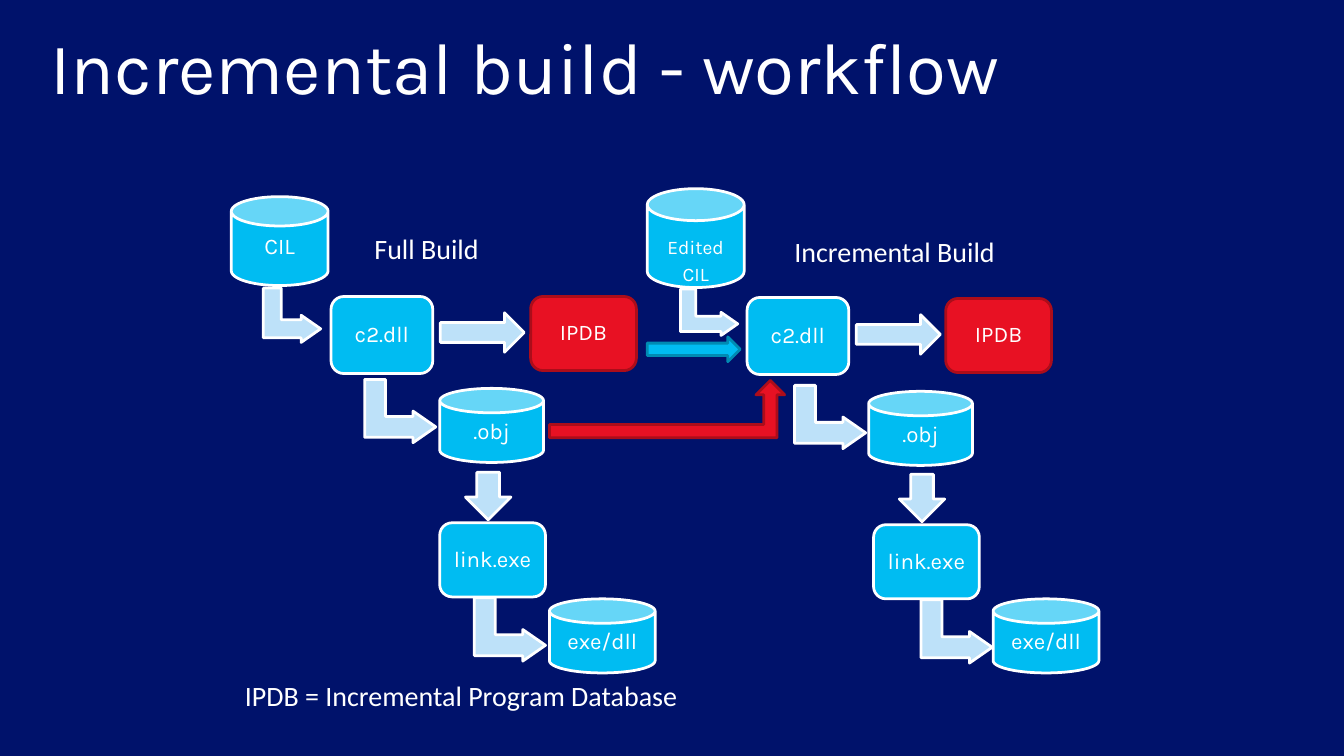
from pptx import Presentation
from pptx.dml.color import RGBColor
from pptx.enum.shapes import MSO_SHAPE as SHAPE
from pptx.enum.text import MSO_ANCHOR as ANCHOR, PP_ALIGN as ALIGN
from pptx.util import Inches, Pt

COLORS = {
    "background": "00126B",
    "white": "FFFFFF",
    "pale": "BDE1F9",
    "cyan": "00BCF2",
    "cyan_edge": "008BB3",
    "red": "E81123",
    "red_edge": "AC0D1A",
}
CAP_RATIO = 0.33
BENT = (0.33, 0.25, 0.36)


def color(name):
    """Return the named colour."""
    return RGBColor.from_string(COLORS[name])


def write(sp, text, size=16.3, font="Karla", align=ALIGN.CENTER, anchor=ANCHOR.MIDDLE,
          insets=(0.07, 0.07, 0.07, 0.07), line_spacing=None, after=0):
    """Fill a shape with text, one paragraph per line, in one format."""
    tf = sp.text_frame
    tf.word_wrap = True
    tf.vertical_anchor = anchor
    tf.margin_left, tf.margin_top, tf.margin_right, tf.margin_bottom = map(Inches, insets)
    for i, line in enumerate(text.split("\n")):
        p = tf.paragraphs[0] if i == 0 else tf.add_paragraph()
        p.alignment = align
        p.line_spacing = line_spacing
        p.space_before = Pt(0)
        p.space_after = Pt(after * size)
        r = p.add_run()
        r.text = line
        r.font.name = font
        r.font.size = Pt(size)
        r.font.color.rgb = color("white")


def add_figure(s, kind, box, fill="cyan", edge="white", adjust=(), rotation=0):
    """Add a filled and outlined preset shape."""
    sp = s.shapes.add_shape(kind, *map(Inches, box))
    sp.shadow.inherit = False
    sp.fill.solid()
    sp.fill.fore_color.rgb = color(fill)
    sp.line.color.rgb = color(edge)
    sp.line.width = Pt(2)
    sp.rotation = rotation
    for i, value in enumerate(adjust):
        sp.adjustments[i] = value
    return sp


def add_step(s, text, box, fill="cyan", edge="white"):
    """Add a rounded box for a tool or database."""
    sp = add_figure(s, SHAPE.ROUNDED_RECTANGLE, box, fill, edge)
    write(sp, text, line_spacing=0.9, after=0.35)


def add_store(s, text, box, **fmt):
    """Add a cylinder for a file, with its text below the cap."""
    cap = CAP_RATIO * min(box[2:])
    sp = add_figure(s, SHAPE.CAN, box, adjust=[CAP_RATIO])
    insets = (0.07, max(0, 0.32 - cap), 0.07, max(0, 0.19 - cap / 2))
    write(sp, text, **{"insets": insets, "line_spacing": 0.9, "after": 0.35, **fmt})


def add_turn(s, box):
    """Add a pale arrow that goes down and then right."""
    add_figure(s, SHAPE.BENT_UP_ARROW, box, "pale", adjust=BENT, rotation=90)


def add_label(s, text, box):
    """Add a plain caption."""
    sp = s.shapes.add_textbox(*map(Inches, box))
    write(sp, text, size=20.4, font="Calibri", align=ALIGN.LEFT, anchor=ANCHOR.TOP,
          insets=(0.1, 0.05, 0.1, 0.05))


def add_title(s, text):
    """Place and format the slide title."""
    sp = s.shapes.title
    sp.left, sp.top, sp.width, sp.height = map(Inches, (0.31, 0.17, 12.47, 0.68))
    write(sp, text, size=53, align=ALIGN.LEFT, anchor=ANCHOR.TOP,
          insets=(0.2, 0.05, 0.2, 0.05))


def add_build(s, c2, ipdb, obj, link, exe, turns, right, down):
    """Add the steps shared by both builds, given their left and top corners."""
    for corner in turns:
        add_turn(s, (*corner, 0.64, 0.72))
    add_figure(s, SHAPE.UP_ARROW, (*right, 0.4, 0.85), "pale", rotation=90)
    add_figure(s, SHAPE.RIGHT_ARROW, (*down, 0.48, 0.46), "pale", rotation=90)
    add_step(s, "c2.dll", (*c2, 1.03, 0.78))
    add_step(s, "IPDB", (*ipdb, 1.07, 0.75), "red", "red_edge")
    add_store(s, ".obj", (*obj, 1.05, 0.75))
    add_step(s, "link.exe", (*link, 1.07, 0.75))
    add_store(s, "exe/dll", (*exe, 1.07, 0.75))


def main():
    """Build the slide and save it."""
    prs = Presentation()
    prs.slide_width, prs.slide_height = Inches(13.6), Inches(7.65)
    s = prs.slides.add_slide(prs.slide_layouts[5])
    s.background.fill.solid()
    s.background.fill.fore_color.rgb = color("background")
    add_title(s, "Incremental build - workflow")

    add_turn(s, (2.68, 2.9, 0.55, 0.58))
    add_store(s, "CIL", (2.34, 1.99, 0.98, 0.9))
    add_build(s, c2=(3.35, 3), ipdb=(5.37, 3), obj=(4.45, 3.93), link=(4.45, 5.29),
              exe=(5.56, 6.06), turns=[(3.73, 3.8), (4.84, 6.01)],
              right=(4.68, 2.94), down=(4.7, 4.79))

    add_turn(s, (6.94, 2.87, 0.47, 0.58))
    add_store(s, "Edited\nCIL", (6.55, 1.91, 0.98, 1), size=14, anchor=ANCHOR.TOP,
              insets=(0.07, 0.17, 0.07, 0))
    add_build(s, c2=(7.56, 3.01), ipdb=(9.57, 3.02), obj=(8.79, 3.96), link=(8.84, 5.31),
              exe=(10.05, 6.06), turns=[(8.08, 3.86), (9.36, 6.03)],
              right=(8.89, 2.96), down=(9.09, 4.81))

    add_figure(s, SHAPE.RIGHT_ARROW, (6.55, 3.41, 0.94, 0.25), edge="cyan_edge")
    add_figure(s, SHAPE.BENT_UP_ARROW, (5.56, 3.85, 2.38, 0.58), "red", "red_edge",
               adjust=(0.23, 0.25, 0.25))

    add_label(s, "Full Build", (3.69, 2.29, 1.42, 0.45))
    add_label(s, "Incremental Build", (7.94, 2.32, 2.43, 0.45))
    add_label(s, "IPDB = Incremental Program Database", (2.38, 6.82, 4.65, 0.44))
    prs.save("out.pptx")


if __name__ == "__main__":
    main()
